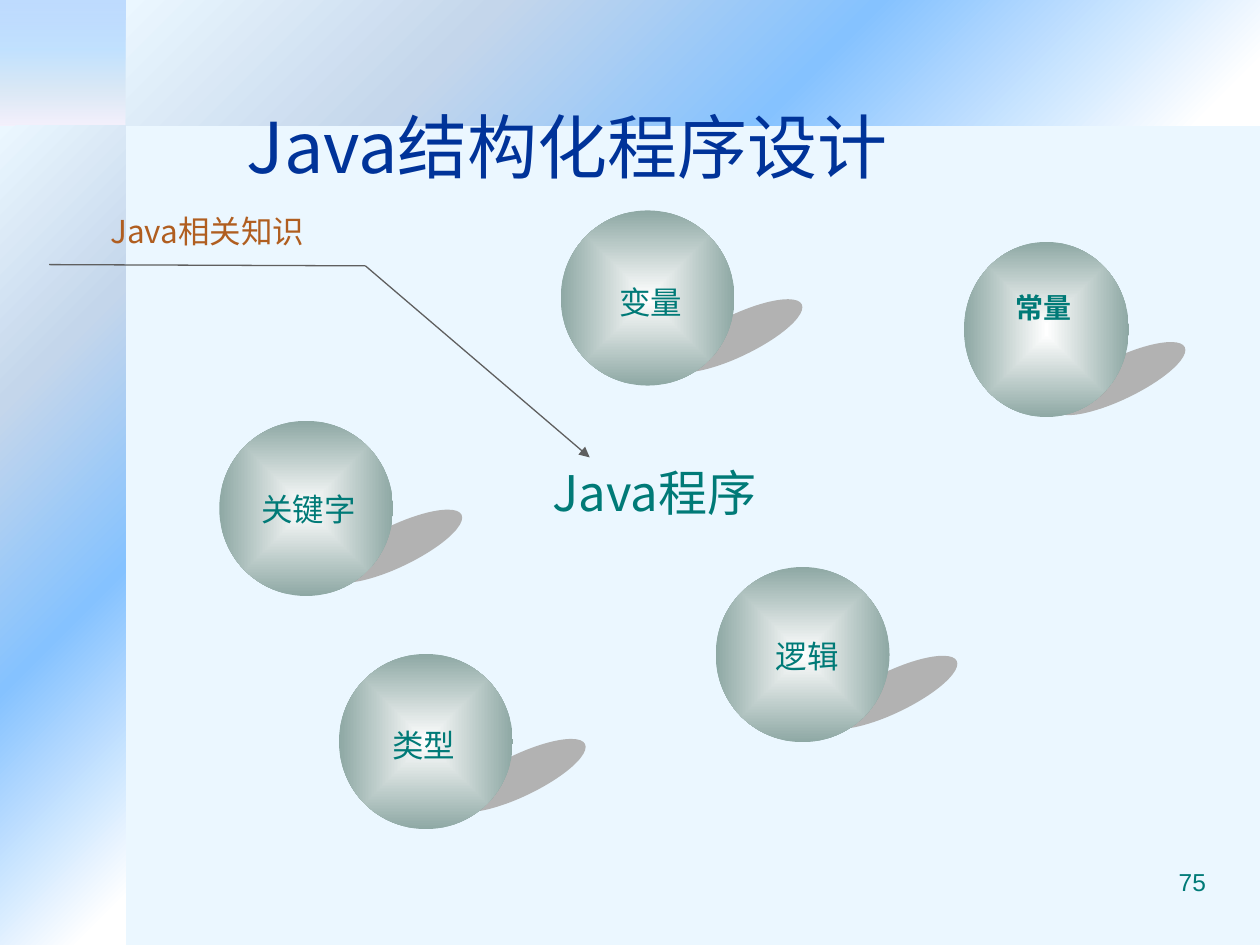
from pptx import Presentation
from pptx.dml.color import RGBColor
from pptx.enum.shapes import MSO_SHAPE as SHAPE, MSO_CONNECTOR as LINE
from pptx.enum.text import PP_ALIGN as AL, MSO_ANCHOR as ANC, MSO_AUTO_SIZE as AUTO
from pptx.oxml import parse_xml
from pptx.oxml.ns import nsdecls
from pptx.util import Inches, Pt

prs = Presentation()
prs.slide_width, prs.slide_height = Inches(10), Inches(7.5)
COL, ROW = prs.slide_width / 10, prs.slide_height / 7.5
rgb = RGBColor.from_string
CJK, TEAL, GREY = "Noto Sans CJK SC", "007A77", "5F5F5F"
s = prs.slides.add_slide(prs.slide_layouts[6])
s.background.fill.solid()
s.background.fill.fore_color.rgb = rgb("EBF7FF")


def add_filled(shapes, kind, box, fill, shade="", turn=0):
    """Borderless shape; fill is a hex string or a list of (position, hex, opacity)."""
    x, y, w, h = box
    sp = shapes.add_shape(kind, int(x * COL), int(y * ROW), int(w * COL), int(h * ROW))
    sp.rotation, sp.shadow.inherit = turn, False
    sp.line.fill.background()
    if isinstance(fill, str):
        sp.fill.solid()
        sp.fill.fore_color.rgb = rgb(fill)
        return
    stops = "".join(
        f'<a:gs pos="{pos * 1000}"><a:srgbClr val="{color}">'
        f'<a:alpha val="{alpha * 1000}"/></a:srgbClr></a:gs>' for pos, color, alpha in fill)
    grad = parse_xml(f'<a:gradFill {nsdecls("a")} rotWithShape="0">'
                     f"<a:gsLst>{stops}</a:gsLst>{shade}</a:gradFill>")
    sp.fill.background()
    spPr = sp._element.spPr
    spPr.replace(spPr.find("{*}noFill"), grad)


def add_text(shapes, text, box, size, align=AL.CENTER, color=TEAL, font=CJK, bold=None, **frame):
    x, y, w, h = box
    tf = shapes.add_textbox(int(x * COL), int(y * ROW), int(w * COL), int(h * ROW)).text_frame
    for name, value in ({"word_wrap": True} | frame).items():
        setattr(tf, name, value)
    p = tf.paragraphs[0]
    p.alignment = align
    r = p.add_run()
    r.text = text
    for name, value in {"size": Pt(size), "name": font, "bold": bold}.items():
        setattr(r.font, name, value)
    r.font.color.rgb = rgb(color)
    r._r.get_or_add_rPr().append(parse_xml(f'<a:ea {nsdecls("a")} typeface="{font}"/>'))


# Corner square and the two bands along the edges
CORNER = [(0, "5E9EFF", 31), (40, "85C2FF", 40), (70, "C4D6EB", 44), (100, "FFEBFA", 50)]
BAND = [(5, "FFFFFF", 100), (40, "85C2FF", 100), (70, "C4D6EB", 100), (100, "EBF7FF", 100)]
TO_CORNER = '<a:path path="circle"><a:fillToRect l="100000" t="100000"/></a:path>'
add_filled(s.shapes, SHAPE.RECTANGLE, (0, 0, 1, 1), CORNER, '<a:lin ang="5400000" scaled="1"/>')
add_filled(s.shapes, SHAPE.RECTANGLE, (1, 0, 9, 1), BAND, TO_CORNER)
add_filled(s.shapes, SHAPE.RECTANGLE, (-2.75, 3.75, 6.5, 1), BAND, TO_CORNER, 90)

# Slide number, title and centre label
add_text(s.shapes, "75", (7.17, 6.83, 2.5, 0.52), 14, AL.RIGHT, font="Arial")
inset = dict.fromkeys(["margin_left", "margin_top", "margin_right", "margin_bottom"], Inches(0.04))
add_text(s.shapes, "Java结构化程序设计", (0, 0.76, 9, 0.79), 40, color="003399",
         vertical_anchor=ANC.MIDDLE, **inset)
grow = {"auto_size": AUTO.SHAPE_TO_FIT_TEXT}
add_text(s.shapes, "Java程序", (3.8, 3.62, 2.79, 0.57), 28, **grow)

# Balls: label, left, top, width, shadow offset, label offset, label size, label font
BALL = [(0, "FFFFFF", 100), (100, "8EA8A4", 100)]
FROM_CENTRE = ('<a:path path="rect"><a:fillToRect l="50000" t="50000" '
               'r="50000" b="50000"/></a:path>')
plain, strong = (0.71, 0.4, 18, CJK, None), (0.65, 0.37, 16, "DejaVu Sans", True)
balls = [
    ("关键字", 1.74, 3.34, 1.38, (0.83, 0.83), (0.23, 0.5), (0.96, *plain[1:])),
    ("变量", 4.45, 1.67, 1.38, (0.82, 0.83), (0.36, 0.53), plain),
    ("常量", 7.65, 1.92, 1.31, (0.66, 0.92), (0.31, 0.34), strong),
    ("逻辑", 5.68, 4.5, 1.38, (0.82, 0.83), (0.37, 0.51), plain),
    ("类型", 2.69, 5.19, 1.38, (0.86, 0.8), (0.32, 0.52), plain),
]
for label, x, y, w, (sx, sy), (tx, ty), (tw, th, size, font, bold) in balls:
    ball = s.shapes.add_group_shape().shapes
    add_filled(ball, SHAPE.OVAL, (x + sx, y + sy, 1.15, 0.33), "B2B2B2", turn=334.3)
    add_filled(ball, SHAPE.OVAL, (x, y, w, 1.39), BALL, FROM_CENTRE)
    add_text(ball, label, (x + tx, y + ty, tw, th), size, font=font, bold=bold,
             word_wrap=False, **grow)

# Callout: bent line with an arrow to the centre label
callout = s.shapes.add_group_shape().shapes
for (x, y), arrow in [((4.68, 3.63), True), ((0.39, 2.1), False)]:
    line = callout.add_connector(LINE.STRAIGHT, int(2.9 * COL), int(2.11 * ROW),
                                 int(x * COL), int(y * ROW))
    line.line.width = Pt(0.75)
    line.line.color.rgb = rgb(GREY)
    if arrow:
        line.line._get_or_add_ln().append(parse_xml(f'<a:tailEnd {nsdecls("a")} type="triangle"/>'))
    line._element.spPr.append(parse_xml(f'<a:effectLst {nsdecls("a")}/>'))
add_text(callout, "Java相关知识", (0.29, 1.63, 2.71, 0.4), 18, color="B05E20", **grow)

prs.save("out.pptx")
